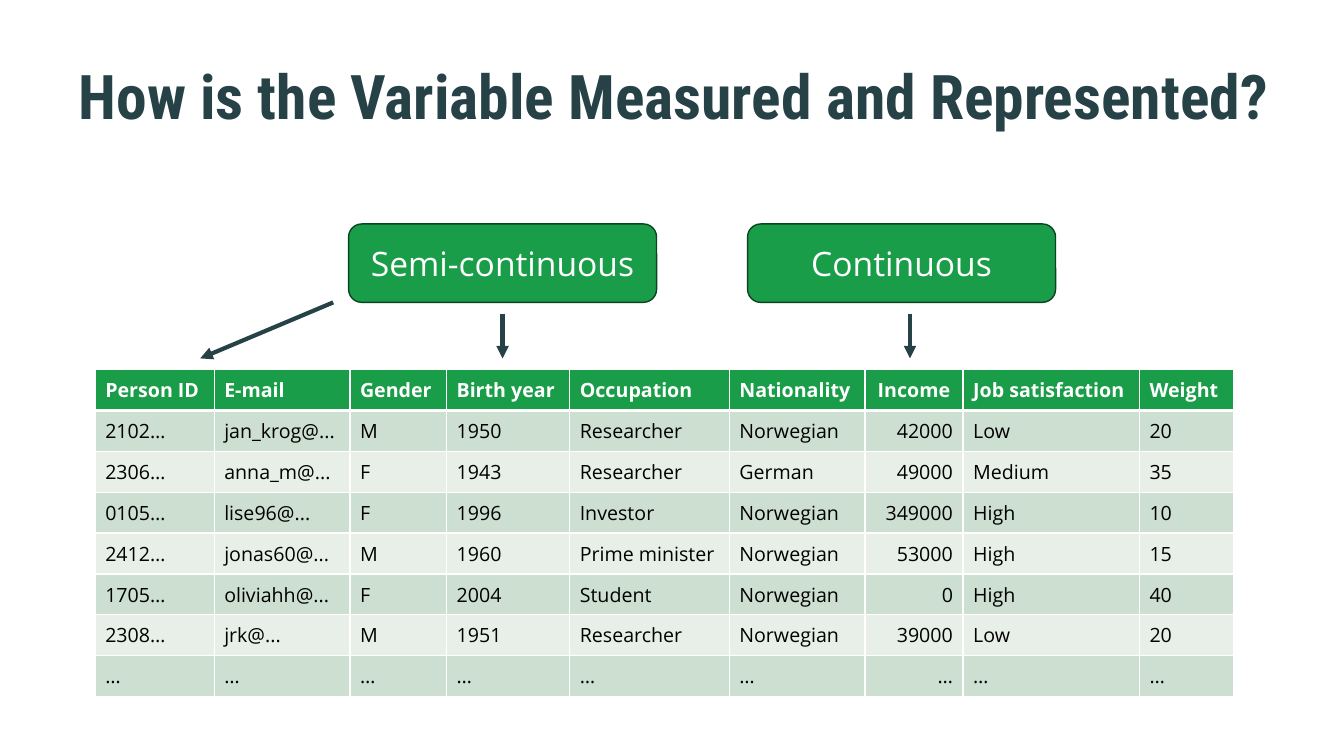
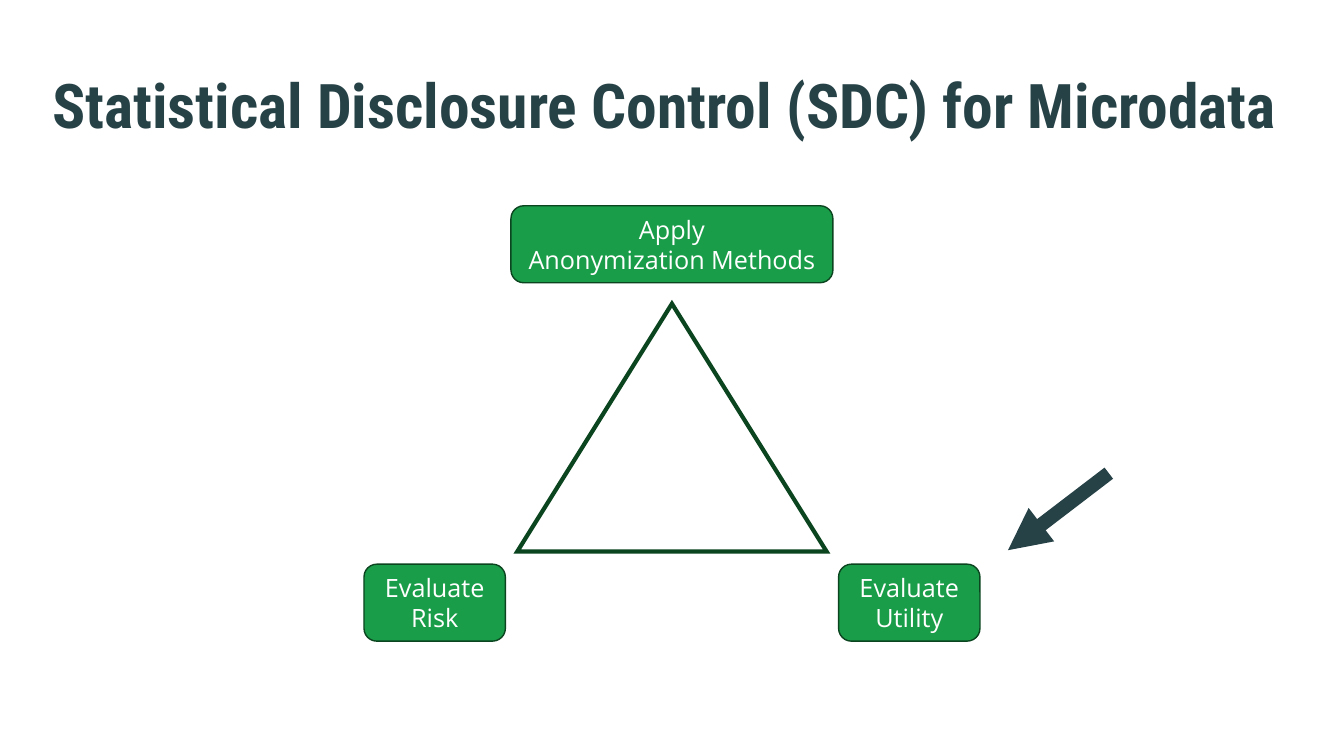
from lxml.etree import SubElement as Sub
from pptx import Presentation
from pptx.dml.color import RGBColor
from pptx.enum.shapes import MSO_CONNECTOR as Link, MSO_SHAPE as Form
from pptx.enum.text import MSO_ANCHOR as Anchor, MSO_AUTO_SIZE as Fit, PP_ALIGN as Align
from pptx.oxml.ns import qn
from pptx.util import Pt

GREEN, DARK, SLATE = "1A9D49", "0B4520", "274247"
WHITE, BLACK = "FFFFFF", "000000"
BANDS = ("CDDFD0", "E8EFE9")
HEAD, BODY = "Roboto Condensed", "Open Sans"
INCOME = 6
WIDTHS = (85, 97, 69, 88, 114, 97, 70, 126, 67)
ROWS = (
    ("Person ID", "E-mail", "Gender", "Birth year", "Occupation",
     "Nationality", "Income", "Job satisfaction", "Weight"),
    ("2102…", "jan_krog@...", "M", "1950", "Researcher", "Norwegian", "42000", "Low", "20"),
    ("2306…", "anna_m@...", "F", "1943", "Researcher", "German", "49000", "Medium", "35"),
    ("0105…", "lise96@...", "F", "1996", "Investor", "Norwegian", "349000", "High", "10"),
    ("2412…", "jonas60@...", "M", "1960", "Prime minister", "Norwegian", "53000", "High", "15"),
    ("1705…", "oliviahh@...", "F", "2004", "Student", "Norwegian", "0", "High", "40"),
    ("2308…", "jrk@...", "M", "1951", "Researcher", "Norwegian", "39000", "Low", "20"),
    ("…",) * 9,
)


def tint(code):
    return RGBColor.from_string(code)


def paint(item, code):
    item.fill.solid()
    item.fill.fore_color.rgb = tint(code)


def stroke(item, code, width):
    item.line.color.rgb = tint(code)
    item.line.width = Pt(width)
    return item.element.spPr.find(qn("a:ln"))


def write(frame, text, size=18, color=WHITE, font=BODY, bold=False,
          align=Align.LEFT, space=1.0):
    frame.word_wrap = True
    frame.vertical_anchor = Anchor.MIDDLE
    frame.text = text
    for para in frame.paragraphs:
        para.alignment = align
        para.line_spacing = space
        para.font.size = Pt(size)
        para.font.name = font
        para.font.bold = bold
        para.font.color.rgb = tint(color)


def start(deck, text, x, y, w, h):
    slide = deck.slides.add_slide(deck.slide_layouts[5])
    title = slide.shapes.title
    title.left, title.top, title.width, title.height = map(Pt, (x, y, w, h))
    frame = title.text_frame
    frame.auto_size = Fit.NONE
    frame.margin_top, frame.margin_bottom = Pt(0), Pt(3.6)
    write(frame, text, size=44, color=SLATE, font=HEAD, bold=True, space=0.9)
    return slide


def card(slide, text, x, y, w, h, size=18):
    shape = slide.shapes.add_shape(Form.ROUNDED_RECTANGLE, *map(Pt, (x, y, w, h)))
    shape.shadow.inherit = False
    paint(shape, GREEN)
    stroke(shape, DARK, 1)
    write(shape.text_frame, text, size=size, align=Align.CENTER)


def arrow(slide, x1, y1, x2, y2, width=3):
    line = slide.shapes.add_connector(Link.STRAIGHT, *map(Pt, (x1, y1, x2, y2)))
    Sub(stroke(line, SLATE, width), qn("a:tailEnd"), type="triangle")
    Sub(line.element.spPr, qn("a:effectLst"))


def edge(cell, side, width):
    line = Sub(cell._tc.get_or_add_tcPr(), qn(f"a:ln{side}"), w=str(Pt(width)))
    Sub(Sub(line, qn("a:solidFill")), qn("a:srgbClr"), val=WHITE)


def grid(slide, x, y, h):
    frame = slide.shapes.add_table(len(ROWS), len(WIDTHS), *map(Pt, (x, y, sum(WIDTHS), h)))
    table = frame.table
    for col, width in zip(table.columns, WIDTHS):
        col.width = Pt(width)
    for r, row in enumerate(ROWS):
        top = r == 0
        table.rows[r].height = Pt(h / len(ROWS))
        for c, text in enumerate(row):
            cell = table.cell(r, c)
            for side in "LRTB":
                thick = (top and side == "B") or (r == 1 and side == "T")
                edge(cell, side, 3 if thick else 1)
            paint(cell, GREEN if top else BANDS[(r - 1) % 2])
            align = Align.LEFT
            if c == INCOME:
                align = Align.CENTER if top else Align.RIGHT
            write(cell.text_frame, text, size=14, bold=top, align=align,
                  color=WHITE if top else BLACK)
            cell.vertical_anchor = Anchor.MIDDLE


def types(slide, x, y, h):
    for text, left in (("Semi-continuous", 181), ("Continuous", 466)):
        card(slide, text, x + left, y - 104, 220, 56, size=24)
    for x1, y1, x2 in ((291, 40, 291), (582, 40, 582), (170, 48, 75)):
        arrow(slide, x + x1, y - y1, x + x2, y - 8)
    grid(slide, x, y, h)


def cycle(slide, x, y, w, h):
    mid, wide, small, tall, side = x + w / 2, 230, 101, 55, 221
    low = y + h - tall
    card(slide, "Apply\nAnonymization Methods", mid - wide / 2, y, wide, tall)
    card(slide, "Evaluate\nRisk", x, low, small, tall)
    card(slide, "Evaluate\nUtility", x + w - small, low, small, tall)
    shape = slide.shapes.add_shape(
        Form.ISOSCELES_TRIANGLE, *map(Pt, (mid - side / 2, y + 70, side, 177)))
    shape.shadow.inherit = False
    shape.fill.background()
    Sub(stroke(shape, DARK, 3), qn("a:miter"), lim="800000")
    arrow(slide, x + w + 92, low - 65, x + w + 20, low - 10, width=10)


def main():
    deck = Presentation()
    deck.slide_width, deck.slide_height = Pt(960), Pt(540)
    slide = start(deck, "How is the Variable Measured and Represented?", 49, 21.6, 890, 103)
    types(slide, 68, 264, 233.6)
    slide = start(deck, "Statistical Disclosure Control (SDC) for Microdata", 30, 43, 900, 73)
    cycle(slide, 260, 147, 440, 311)
    deck.save("out.pptx")


if __name__ == "__main__":
    main()
